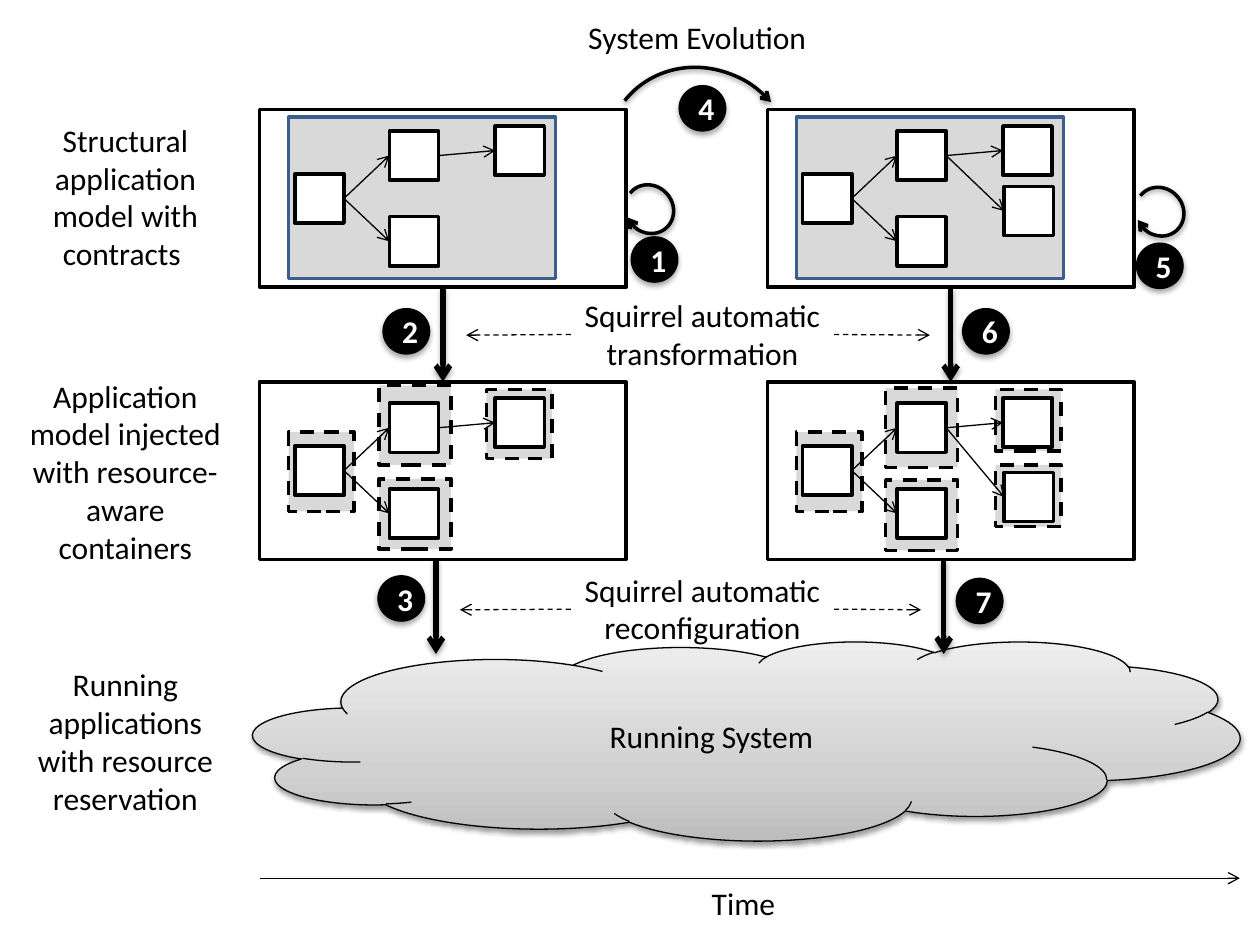
import pptx
import pptx.util
import pptx.dml.color
import pptx.enum.dml
import pptx.enum.shapes
import pptx.enum.text
import pptx.oxml
import pptx.oxml.ns

SHAPE = pptx.enum.shapes.MSO_SHAPE
ALIGN = pptx.enum.text.PP_ALIGN
inches = pptx.util.Inches

COLUMNS = [2.06, 6.09]
ROWS = [0.87, 3.03]
FRAME = (2.91, 1.41)
BACKDROP = (0.23, 0.06, 2.12, 1.28)
COMPONENT = 0.39
BADGE = (0.37, 0.36)
DROP = 0.75
BADGE_SHADOW = (35, 1.8)
SOFT_SHADOW = (38, 1.6)

COMPONENTS = {"entry": (0.28, 0.51), "upper": (1.03, 0.17),
              "lower": (1.03, 0.85), "leaf": (1.87, 0.13)}
LINKS = [("entry", "upper"), ("upper", "leaf"), ("entry", "lower")]
ADDED_LEAF = [(1.88, 0.61), (1.88, 0.72)]
CONTAINERS = [
    [(0.23, 0.40, 0.52, 0.63), (0.95, 0.03, 0.57, 0.63),
     (0.95, 0.77, 0.57, 0.56), (1.80, 0.06, 0.52, 0.55)],
    [(0.23, 0.40, 0.52, 0.63), (0.94, 0.05, 0.57, 0.63), (0.94, 0.78, 0.57, 0.56),
     (1.81, 0.06, 0.52, 0.49), (1.81, 0.66, 0.52, 0.49)],
]
ROW_LABELS = [
    ("Structural application model with contracts ", 0.14, 0.91, 1.71, 1.31),
    ("Application model injected with resource-aware containers", 0.06, 2.94, 1.87, 1.62),
    ("Running applications with resource reservation", 0.14, 5.23, 1.71, 1.31),
]
STEP_LABELS = [
    ("Squirrel automatic transformation", 2.30, 3.70, 7.38),
    ("Squirrel automatic reconfiguration", 4.48, 3.65, 7.31),
]
CAPTIONS = [("System Evolution", 4.57, 0.09, 1.95, 0.4), ("Time", 5.55, 6.97, 0.71, 0.4)]
BADGES = [("1", 5.01, 1.88), ("2", 3.04, 2.45), ("3", 3.00, 4.57), ("4", 5.39, 0.68),
          ("5", 9.02, 1.93), ("6", 7.64, 2.45), ("7", 7.59, 4.59)]
ARCS = [(4.83, 0.51, 1.48, 1.59, 0), (4.97, 1.46, 0.37, 0.40, 120.891),
        (9.02, 1.48, 0.37, 0.40, 120.891)]
CLOUD_STOPS = [(0, "BDBDBD"), (35, "D1D1D1"), (100, "EEEEEE")]


def color(value):
    return pptx.dml.color.RGBColor.from_string(value)


def element(markup):
    namespace = pptx.oxml.ns.nsdecls("a")
    return pptx.oxml.parse_xml(markup.replace(">", f" {namespace}>", 1))


def set_effect(shape, shadow):
    effect = element("<a:effectLst></a:effectLst>")
    if shadow:
        alpha, distance = shadow
        effect.append(element(
            f'<a:outerShdw blurRad="{pptx.util.Pt(3.1)}" dist="{pptx.util.Pt(distance)}" '
            f'dir="5400000" rotWithShape="0"><a:srgbClr val="000000">'
            f'<a:alpha val="{alpha * 1000}"/></a:srgbClr></a:outerShdw>'))
    shape._element.spPr.append(effect)


def set_line(shape, hue, width, dashed=False, arrow=False):
    line = shape.line
    line.color.rgb = color(hue)
    line.width = pptx.util.Pt(width)
    if dashed:
        line.dash_style = pptx.enum.dml.MSO_LINE.DASH
    if arrow:
        line._get_or_add_ln().append(element('<a:tailEnd type="arrow"></a:tailEnd>'))


def add_shape(kind, left, top, width, height, fill=None, line="000000", weight=2,
              dashed=False, arrow=False, shadow=None):
    shape = slide.shapes.add_shape(kind, *map(inches, (left, top, width, height)))
    if fill:
        shape.fill.solid()
        shape.fill.fore_color.rgb = color(fill)
    else:
        shape.fill.background()
    set_line(shape, line, weight, dashed, arrow)
    set_effect(shape, shadow)
    return shape


def add_arrow(start, end, source=None, target=None, weight=0.75, dashed=False, shadow=None):
    connector = slide.shapes.add_connector(
        pptx.enum.shapes.MSO_CONNECTOR.STRAIGHT, *map(inches, (*start, *end)))
    if source:
        connector.begin_connect(*source)
    if target:
        connector.end_connect(*target)
    set_line(connector, "000000", weight, dashed, True)
    set_effect(connector, shadow)


def write(shape, text, hue="000000", bold=False, align=ALIGN.CENTER, wrap=True):
    shape.text_frame.word_wrap = wrap
    paragraph = shape.text_frame.paragraphs[0]
    paragraph.alignment = align
    run = paragraph.add_run()
    run.text = text
    run.font.name = "Calibri"
    run.font.size = pptx.util.Pt(18)
    run.font.bold = bold
    run.font.color.rgb = color(hue)


def add_label(text, left, top, width, height, **text_format):
    label = slide.shapes.add_textbox(*map(inches, (left, top, width, height)))
    write(label, text, **text_format)
    label.text_frame.auto_size = pptx.enum.text.MSO_AUTO_SIZE.SHAPE_TO_FIT_TEXT
    return label


def add_panel(column, row):
    left, top = COLUMNS[column], ROWS[row]
    components, links = dict(COMPONENTS), list(LINKS)
    if column == 1:
        components["added leaf"] = ADDED_LEAF[row]
        links.append(("upper", "added leaf"))
    if row == 0:
        x, y, width, height = BACKDROP
        add_shape(SHAPE.RECTANGLE, left + x, top + y, width, height, "D9D9D9", "3A5F8C")
    else:
        for x, y, width, height in CONTAINERS[column]:
            add_shape(SHAPE.RECTANGLE, left + x, top + y, width, height, "D9D9D9", dashed=True)
    frame = add_shape(SHAPE.RECTANGLE, left, top, *FRAME)
    boxes = {name: add_shape(SHAPE.RECTANGLE, left + x, top + y, COMPONENT, COMPONENT, "FFFFFF")
             for name, (x, y) in components.items()}
    for source, target in links:
        add_arrow((left, top), (left, top), (boxes[source], 3), (boxes[target], 1))
    return frame


presentation = pptx.Presentation()
presentation.slide_width, presentation.slide_height = inches(10), inches(7.5)
slide = presentation.slides.add_slide(presentation.slide_layouts[6])

cloud = add_shape(SHAPE.CLOUD, 2.01, 5.09, 7.83, 1.58, weight=0.75, shadow=SOFT_SHADOW)
stops = "".join(f'<a:gs pos="{position * 1000}"><a:srgbClr val="{hue}"/></a:gs>'
                for position, hue in CLOUD_STOPS)
properties = cloud._element.spPr
properties.replace(
    properties.find(pptx.oxml.ns.qn("a:noFill")),
    element(f'<a:gradFill rotWithShape="1"><a:gsLst>{stops}</a:gsLst>'
            '<a:lin ang="16200000" scaled="0"/></a:gradFill>'))
write(cloud, "Running System")

for column, left in enumerate(COLUMNS):
    upper, lower = [add_panel(column, row) for row in range(len(ROWS))]
    add_arrow((left, ROWS[0]), (left, ROWS[1]), (upper, 2), (lower, 0), 3, shadow=BADGE_SHADOW)
    x, y = left + 1.4, ROWS[1] + FRAME[1]
    add_arrow((x, y), (x, y + DROP), weight=3, shadow=BADGE_SHADOW)

for label in ROW_LABELS:
    add_label(*label)
for caption in CAPTIONS:
    add_label(*caption, align=ALIGN.LEFT, wrap=False)
for text, top, left_end, right_end in STEP_LABELS:
    label = add_label(text, 4.53, top, 2.09, 0.71)
    middle = top + 0.36
    for end, side in ((left_end, 1), (right_end, 3)):
        add_arrow((5, middle), (end, middle), (label, side), dashed=True)

for left, top, width, height, end_angle in ARCS:
    arc = add_shape(SHAPE.ARC, left, top, width, height, arrow=True, shadow=SOFT_SHADOW)
    arc.rotation = 318
    arc.adjustments[0], arc.adjustments[1] = 156.958, end_angle
for number, left, top in BADGES:
    badge = add_shape(SHAPE.OVAL, left, top, *BADGE, "000000", weight=0.75, shadow=BADGE_SHADOW)
    write(badge, number, "FFFFFF", bold=True)

add_arrow((COLUMNS[0], 6.97), (9.84, 6.97))
presentation.save("out.pptx")
